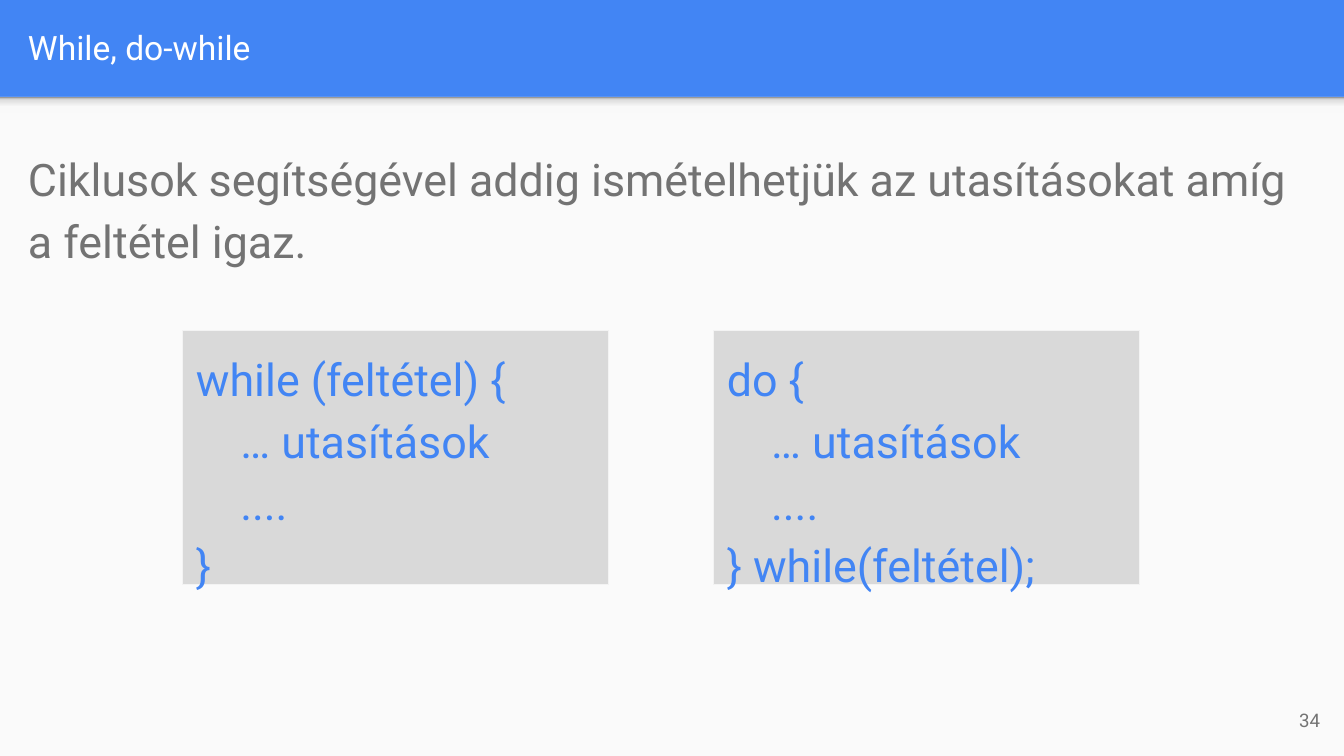
from dataclasses import dataclass

from lxml import etree
from pptx import Presentation
from pptx.dml.color import RGBColor
from pptx.enum.shapes import MSO_SHAPE
from pptx.enum.text import MSO_ANCHOR, PP_ALIGN
from pptx.oxml.ns import qn
from pptx.shapes.autoshape import Shape
from pptx.slide import Slide
from pptx.util import Inches, Pt

RECTANGLE = MSO_SHAPE.RECTANGLE
TOP, MIDDLE = MSO_ANCHOR.TOP, MSO_ANCHOR.MIDDLE
LEFT, RIGHT = PP_ALIGN.LEFT, PP_ALIGN.RIGHT

BLUE = RGBColor(0x42, 0x85, 0xF4)
WHITE = RGBColor(0xFF, 0xFF, 0xFF)
PAPER = RGBColor(0xFA, 0xFA, 0xFA)
GREY_TEXT = RGBColor(0x73, 0x73, 0x73)
CODE_FILL = RGBColor(0xD9, 0xD9, 0xD9)
CODE_BORDER = RGBColor(0xF3, 0xF3, 0xF3)
SHADE_STOPS = (
    (0, RGBColor(0xF9, 0xF9, 0xF9)),
    (36, RGBColor(0xF9, 0xF9, 0xF9)),
    (80, RGBColor(0xDE, 0xDE, 0xDE)),
    (100, RGBColor(0x99, 0x99, 0x99)),
)

WIDTH = Inches(10)
HEIGHT = WIDTH * 9 // 16
COLUMN = WIDTH / 100
ROW = HEIGHT / 100
HEADER_ROWS = 12.8
CODE_INDENT = Inches(0.33)


@dataclass(frozen=True)
class Area:
    left: float
    top: float
    width: float
    height: float

    def box(self) -> tuple[int, int, int, int]:
        return (
            round(self.left * COLUMN),
            round(self.top * ROW),
            round(self.width * COLUMN),
            round(self.height * ROW),
        )


@dataclass(frozen=True)
class Line:
    text: str
    indented: bool = False


@dataclass(frozen=True)
class TextStyle:
    size: float
    color: RGBColor
    anchor: MSO_ANCHOR = TOP
    alignment: PP_ALIGN = LEFT
    line_spacing: float = 1.0
    space_after: float = 0


@dataclass(frozen=True)
class CodeBlock:
    left: float
    opening: str
    closing: str

    def lines(self) -> tuple[Line, ...]:
        return (
            Line(self.opening),
            Line("… utasítások", True),
            Line("....", True),
            Line(self.closing),
        )


TITLE_STYLE = TextStyle(18, WHITE, MIDDLE)
NUMBER_STYLE = TextStyle(10, GREY_TEXT, MIDDLE, RIGHT)
BODY_STYLE = TextStyle(24, GREY_TEXT, line_spacing=1.15, space_after=16)
CODE_STYLE = TextStyle(24, BLUE, line_spacing=1.15)

CODE_BLOCKS = (
    CodeBlock(13.6, "while (feltétel) {", "}"),
    CodeBlock(53.1, "do {", "} while(feltétel);"),
)


def set_values(target: object, values: dict[str, object]) -> None:
    for name, value in values.items():
        setattr(target, name, value)


def write(shape: Shape, lines: tuple[Line, ...], style: TextStyle) -> None:
    frame = shape.text_frame
    inset = Inches(0.1)
    set_values(frame, {
        "word_wrap": True,
        "vertical_anchor": style.anchor,
        "margin_left": inset,
        "margin_top": inset,
        "margin_right": inset,
        "margin_bottom": inset,
    })
    for index, line in enumerate(lines):
        paragraph = frame.add_paragraph() if index else frame.paragraphs[0]
        set_values(paragraph, {
            "alignment": style.alignment,
            "line_spacing": style.line_spacing,
            "space_after": Pt(style.space_after),
        })
        if line.indented:
            properties = paragraph._p.get_or_add_pPr()
            properties.set("marL", str(CODE_INDENT))
            properties.set("indent", "0")
        run = paragraph.add_run()
        run.text = line.text
        set_values(run.font, {"name": "Roboto", "size": Pt(style.size)})
        run.font.color.rgb = style.color


def add_text(slide: Slide, area: Area, text: str, style: TextStyle) -> None:
    write(slide.shapes.add_textbox(*area.box()), (Line(text),), style)


def add_panel(slide: Slide, area: Area, fill: RGBColor) -> Shape:
    panel = slide.shapes.add_shape(RECTANGLE, *area.box())
    panel.shadow.inherit = False
    panel.fill.solid()
    panel.fill.fore_color.rgb = fill
    panel.line.fill.background()
    return panel


def add_header_shade(slide: Slide) -> None:
    shade = add_panel(slide, Area(0, HEADER_ROWS, 100, 2.13), PAPER)
    shade.fill.gradient()
    shade.fill.gradient_angle = 90
    stops = shade._element.spPr.find(qn("a:gradFill")).find(qn("a:gsLst"))
    for stop in list(stops):
        stops.remove(stop)
    for position, color in SHADE_STOPS:
        stop = etree.SubElement(stops, qn("a:gs"), pos=str(position * 1000))
        etree.SubElement(stop, qn("a:srgbClr"), val=str(color))


def add_code(slide: Slide, block: CodeBlock) -> None:
    panel = add_panel(slide, Area(block.left, 43.73, 31.7, 33.6), CODE_FILL)
    panel.line.color.rgb = CODE_BORDER
    panel.line.width = Pt(0.75)
    write(panel, block.lines(), CODE_STYLE)


def main() -> None:
    presentation = Presentation()
    set_values(presentation, {"slide_width": WIDTH, "slide_height": HEIGHT})
    slide = presentation.slides.add_slide(presentation.slide_layouts[6])
    slide.background.fill.solid()
    slide.background.fill.fore_color.rgb = BLUE

    add_panel(slide, Area(0, HEADER_ROWS, 100, 100 - HEADER_ROWS), PAPER)
    add_header_shade(slide)
    add_text(slide, Area(1.1, 0.36, 96.5, 11.73), "While, do-while", TITLE_STYLE)
    add_text(slide, Area(93.2, 91.38, 6, 7.64), "34", NUMBER_STYLE)
    add_text(
        slide,
        Area(1.1, 17.24, 96.5, 17.42),
        "Ciklusok segítségével addig ismételhetjük az utasításokat amíg a feltétel igaz.",
        BODY_STYLE,
    )
    for block in CODE_BLOCKS:
        add_code(slide, block)
    presentation.save("out.pptx")


if __name__ == "__main__":
    main()
